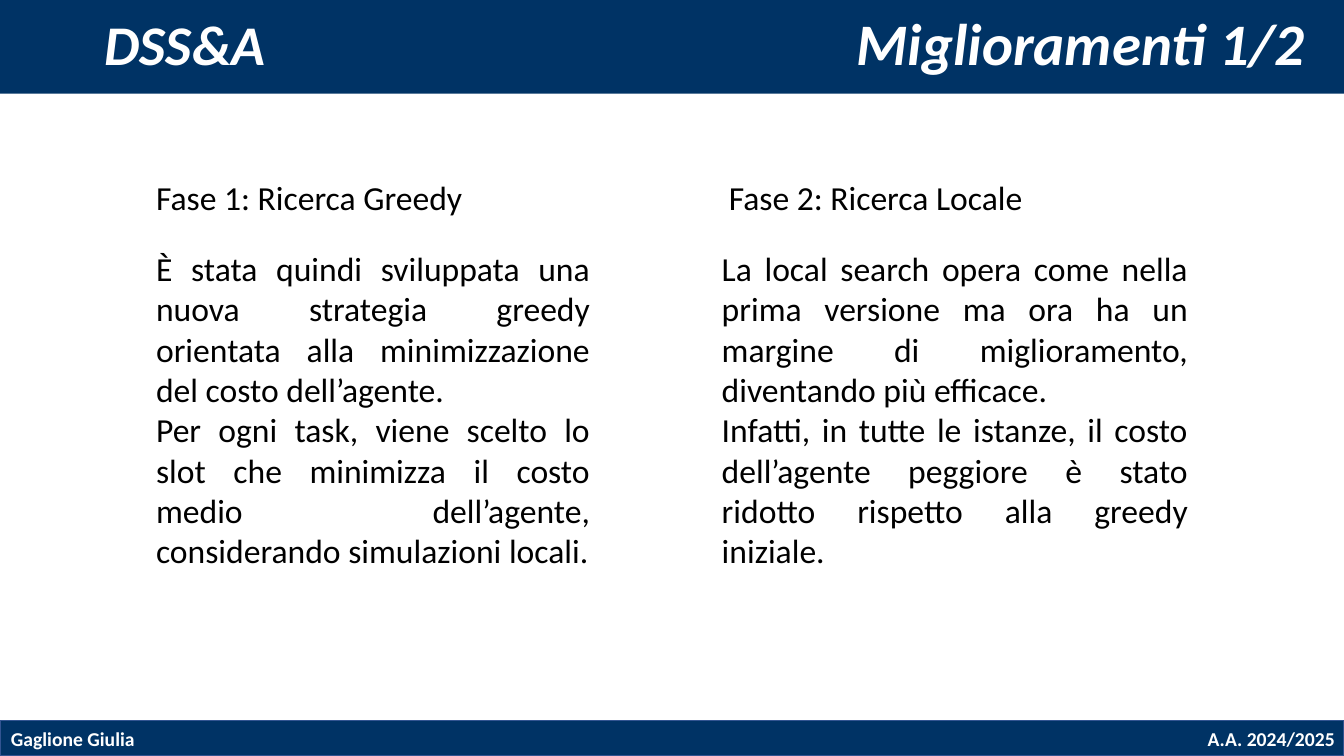
from pptx import Presentation
from pptx.dml.color import RGBColor
from pptx.enum.shapes import MSO_SHAPE
from pptx.enum.text import MSO_ANCHOR, MSO_AUTO_SIZE, PP_ALIGN
from pptx.util import Inches, Pt

NAVY = RGBColor(0x00, 0x33, 0x65)
EDGE = RGBColor(0x32, 0x54, 0x91)
WHITE = RGBColor(0xFF, 0xFF, 0xFF)
BLACK = RGBColor(0x00, 0x00, 0x00)
WIDTH = 13.33


class Deck:
    font = "Calibri"

    def __init__(self, slide):
        self.slide = slide

    def bar(self, top, height, line=None):
        s = self.slide.shapes.add_shape(
            MSO_SHAPE.RECTANGLE, 0, Inches(top), Inches(WIDTH), Inches(height))
        s.shadow.inherit = False
        s.fill.solid()
        s.fill.fore_color.rgb = NAVY
        if line is None:
            s.line.fill.background()
        else:
            s.line.color.rgb = line
            s.line.width = Pt(1)

    def text(self, box, paragraphs, size, color=BLACK, bold=False, italic=False,
             align=PP_ALIGN.LEFT, wrap=True, grow=True):
        """Add a text box with one style and return its text frame."""
        tf = self.slide.shapes.add_textbox(*map(Inches, box)).text_frame
        tf.word_wrap = wrap
        tf.auto_size = MSO_AUTO_SIZE.SHAPE_TO_FIT_TEXT if grow else MSO_AUTO_SIZE.NONE
        tf.text = "\n".join(paragraphs)
        for p in tf.paragraphs:
            p.alignment = align
            for r in p.runs:
                r.font.name = self.font
                r.font.size = Pt(size)
                r.font.bold = bold
                r.font.italic = italic
                r.font.color.rgb = color
        return tf

    def title(self, words):
        tf = self.text((-0.03, 0, WIDTH, 0.93), [words], 42, WHITE, True, True,
                       PP_ALIGN.RIGHT, grow=False)
        tf.vertical_anchor = MSO_ANCHOR.MIDDLE
        tf.margin_right = Inches(0.36)
        tf.paragraphs[0].line_spacing = 0.9

    def footer(self, left, right):
        """Set the two footer texts in two columns of one box."""
        tf = self.text((0.01, 7.16, WIDTH, 0.34), [left, right], 14, WHITE, True)
        tf.paragraphs[1].alignment = PP_ALIGN.RIGHT
        columns = tf._txBody.bodyPr
        columns.set("numCol", "2")
        columns.set("spcCol", str(Inches(4.29)))

    def phase(self, heading_box, body_box, heading, paragraphs):
        self.text(body_box, paragraphs, 24, align=PP_ALIGN.JUSTIFY)
        self.text(heading_box, [heading], 24, wrap=False)


def main():
    prs = Presentation()
    prs.slide_width, prs.slide_height = Inches(WIDTH), Inches(7.5)
    deck = Deck(prs.slides.add_slide(prs.slide_layouts[6]))

    deck.bar(7.15, 0.35, EDGE)
    deck.bar(-0.02, 0.95)
    deck.title("Miglioramenti 1/2")
    deck.footer("Gaglione Giulia", "A.A. 2024/2025")
    deck.text((0.94, 0.05, 1.81, 0.77), ["DSS&A"], 40, WHITE, True, True, wrap=False)

    deck.phase((1.45, 1.71, 3.27, 0.5), (1.45, 2.41, 4.5, 3.33),
               "Fase 1: Ricerca Greedy", [
        "È stata quindi sviluppata una nuova strategia greedy orientata alla "
        "minimizzazione del costo dell’agente.",
        "Per ogni task, viene scelto lo slot che minimizza il costo medio "
        "dell’agente, considerando simulazioni locali."])
    deck.phase((7.13, 1.71, 3.14, 0.5), (7.06, 2.41, 4.82, 3.33),
               "Fase 2: Ricerca Locale", [
        "La local search opera come nella prima versione ma ora ha un margine "
        "di miglioramento, diventando più efficace.",
        "Infatti, in tutte le istanze, il costo dell’agente peggiore è stato "
        "ridotto rispetto alla greedy iniziale."])

    prs.save("out.pptx")


if __name__ == "__main__":
    main()
